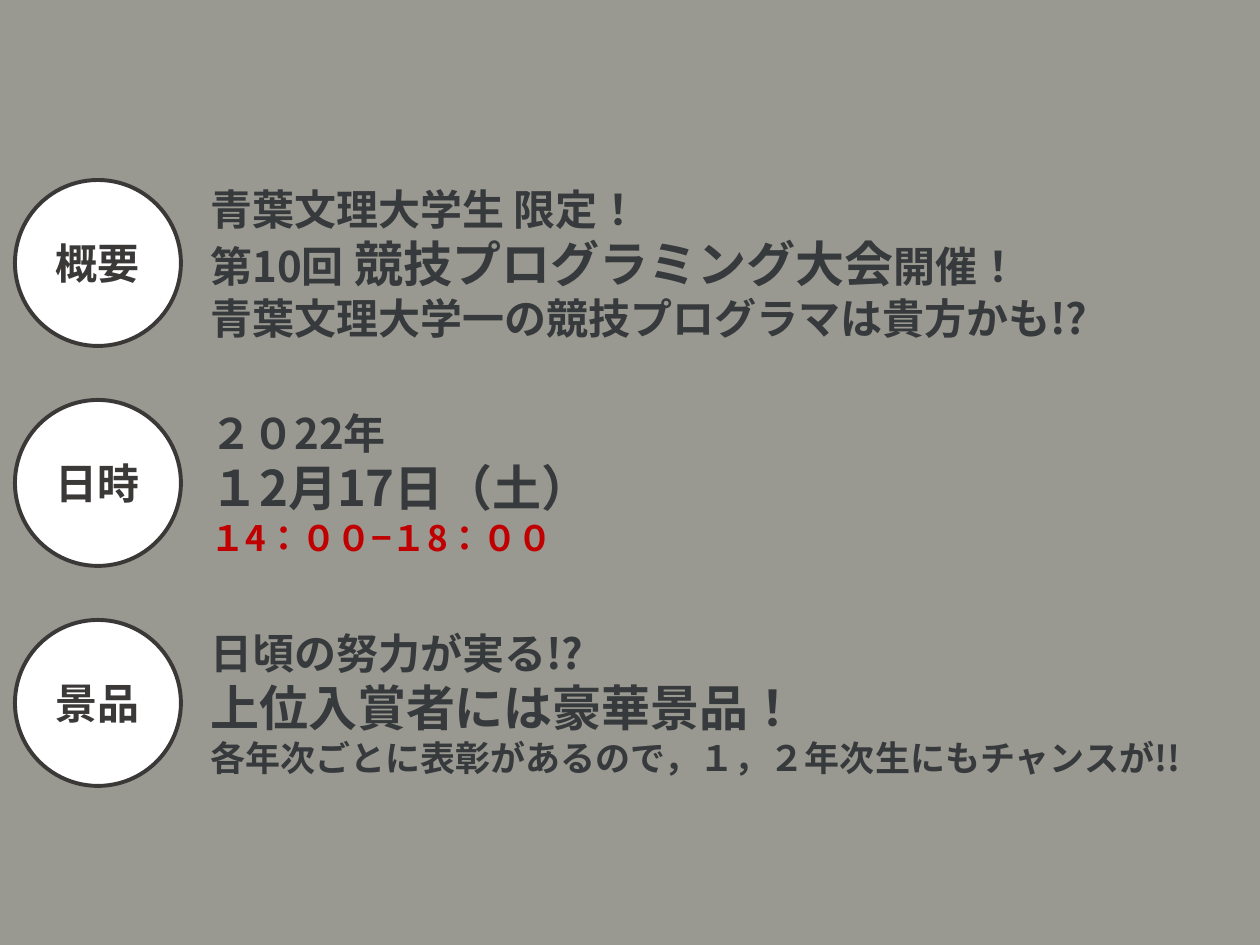
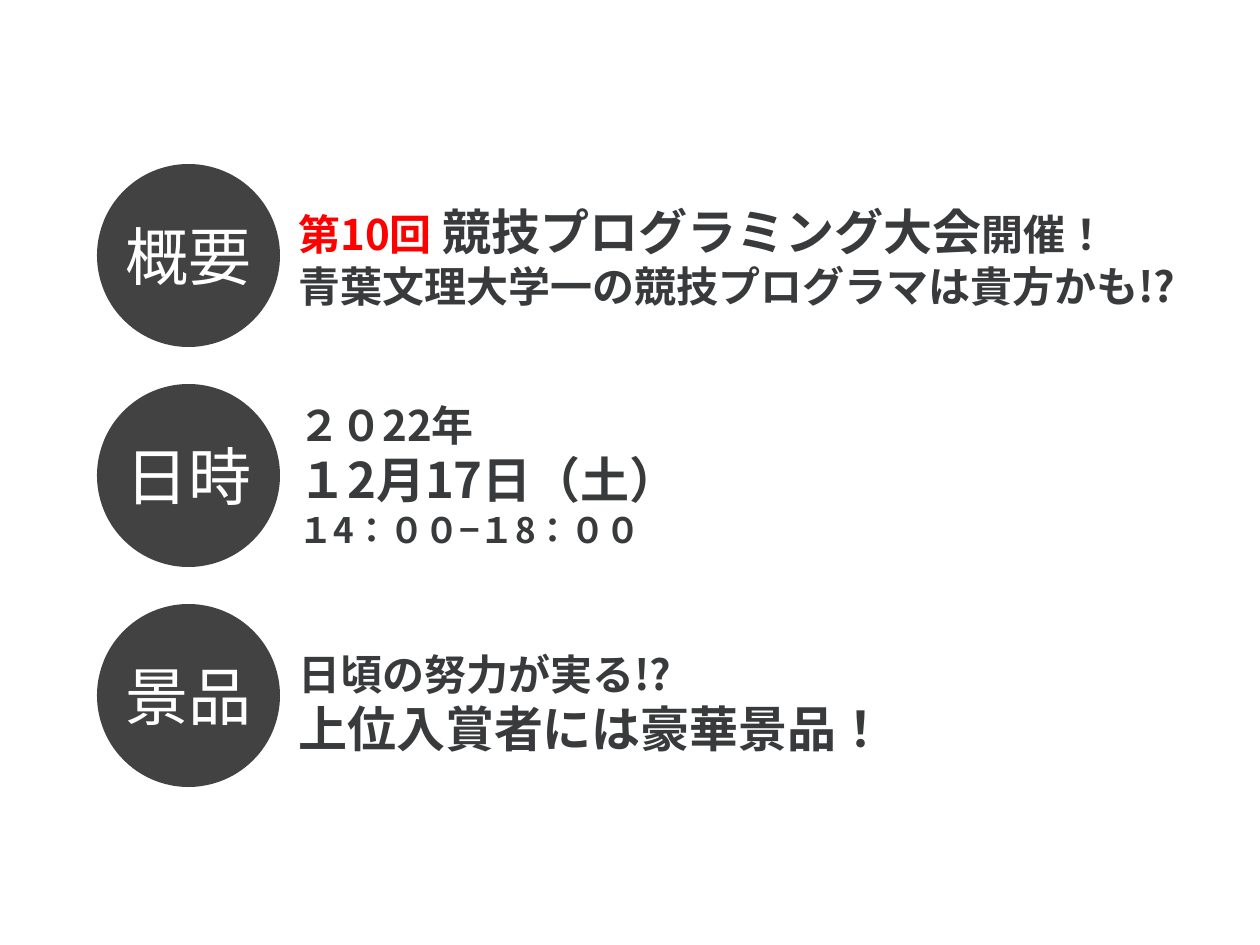
from dataclasses import dataclass

from lxml.etree import SubElement
from pptx import Presentation
from pptx.dml.color import RGBColor
from pptx.enum.lang import MSO_LANGUAGE_ID
from pptx.enum.shapes import MSO_SHAPE
from pptx.enum.text import MSO_ANCHOR, MSO_AUTO_SIZE, PP_ALIGN
from pptx.oxml.ns import qn
from pptx.util import Emu, Pt

PX = 914400 // 126
PITCH = 220
TEXT_HEIGHT = 166


@dataclass(frozen=True)
class Theme:
    """Colours, fonts and type sizes of the deck."""
    white: str = "FFFFFF"
    grey: str = "9A9991"
    ring: str = "3B3838"
    slate: str = "373A3C"
    glow: str = "E7E6E6"
    disc: str = "424242"
    ink: str = "383A3B"
    crimson: str = "C00000"
    red: str = "FF0000"
    font: str = "Noto Sans CJK JP"
    label_font: str = "Calibri"
    label: int = 36
    big: int = 28
    normal: int = 24
    small: int = 20


T = Theme()

SCHOOL = "青葉文理大学"
CONTEST = (" 競技プログラミング大会", {"size": T.big})
OPENING = ("開催！", {})
BOAST = [(f"{SCHOOL}一の競技プログラマは貴方かも!?", {})]
DATE = [[("２０22年", {})], [("１2月17日（土）", {"size": T.big})]]
HOURS = "１4：００−１8：００"
PRIZE = [[("日頃の努力が実る!?", {})],
         [("上位入賞者には豪華景品！", {"size": T.big})]]


def box(*lengths):
    """Turn px lengths into EMU."""
    return [Emu(n * PX) for n in lengths]


def rgb(code):
    """Make a colour from its hex code."""
    return RGBColor.from_string(code)


def add_slide(prs, background):
    """Add a blank slide with a plain background."""
    s = prs.slides.add_slide(prs.slide_layouts[6])
    s.background.fill.solid()
    s.background.fill.fore_color.rgb = rgb(background)
    return s


def add_run(p, text, color, size=T.normal, bold=True, font=T.font, outline=None):
    """Add a formatted run, with an optional thin outline on its letters."""
    r = p.add_run()
    r.text = text
    style = {"size": Pt(size), "bold": bold, "name": font,
             "language_id": MSO_LANGUAGE_ID.JAPANESE}
    for name, value in style.items():
        setattr(r.font, name, value)
    r.font.color.rgb = rgb(color)
    props = r.font._element
    SubElement(props, qn("a:ea"), typeface=T.font)
    if outline:
        ln = SubElement(props, qn("a:ln"), w=str(Pt(0.75)))
        fill = SubElement(ln, qn("a:solidFill"))
        SubElement(fill, qn("a:srgbClr"), val=outline)
        props.insert(0, ln)


def add_circle(s, left, top, size, fill, line=None):
    """Add a filled circle, with an outline if a line colour is given."""
    sp = s.shapes.add_shape(MSO_SHAPE.OVAL, *box(left, top, size, size))
    sp.shadow.inherit = False
    sp.fill.solid()
    sp.fill.fore_color.rgb = rgb(fill)
    if line:
        sp.line.color.rgb = rgb(line)
        sp.line.width = Pt(2.25)
    else:
        sp.line.fill.background()
    return sp


def add_lines(s, left, top, width, lines, **style):
    """Add a middle-anchored text box with one paragraph per line."""
    tf = s.shapes.add_textbox(*box(left, top, width, TEXT_HEIGHT)).text_frame
    for name, value in {"word_wrap": True, "vertical_anchor": MSO_ANCHOR.MIDDLE}.items():
        setattr(tf, name, value)
    for i, line in enumerate(lines):
        p = tf.add_paragraph() if i else tf.paragraphs[0]
        for text, changes in line:
            add_run(p, text, **{**style, **changes})


def add_ring_label(s, top, label):
    """Add an outlined circle that holds its label."""
    sp = add_circle(s, 15, top, TEXT_HEIGHT, T.white, T.ring)
    tf = sp.text_frame
    tf.vertical_anchor = MSO_ANCHOR.MIDDLE
    p = tf.paragraphs[0]
    p.alignment = PP_ALIGN.CENTER
    add_run(p, label, T.ring, font=T.label_font)


def add_disc_label(s, top, label):
    """Add a dark circle with a large label centred over it."""
    size, width, height = 183, 153, 89
    add_circle(s, 97, top, size, T.disc)
    sp = s.shapes.add_textbox(
        *box(97 + (size - width) // 2, top + (size - height) // 2, width, height))
    tf = sp.text_frame
    for name, value in {"word_wrap": False, "auto_size": MSO_AUTO_SIZE.SHAPE_TO_FIT_TEXT}.items():
        setattr(tf, name, value)
    p = tf.paragraphs[0]
    p.alignment = PP_ALIGN.CENTER
    add_run(p, label, T.white, T.label, bold=False)


def add_grey_notice(prs):
    """Build the grey notice with outlined circles."""
    s = add_slide(prs, T.grey)
    rows = [
        ("概要", 925, [[(f"{SCHOOL}生 限定！", {})],
                     [("第10回", {}), CONTEST, OPENING], BOAST]),
        ("日時", 925, [*DATE, [(HOURS, {"size": T.small, "color": T.crimson})]]),
        ("景品", 1033, [*PRIZE, [("各年次ごとに表彰があるので，１，２年次生にもチャンスが!!",
                               {"size": T.small})]]),
    ]
    for i, (label, width, lines) in enumerate(rows):
        top = 180 + i * PITCH
        add_ring_label(s, top, label)
        add_lines(s, 198, top, width, lines, color=T.slate, outline=T.glow)


def add_white_notice(prs):
    """Build the white notice with dark circles."""
    s = add_slide(prs, T.white)
    rows = [
        ("概要", 173, [[("第10回", {"color": T.red}), CONTEST, OPENING], BOAST]),
        ("日時", 392, [*DATE, [(HOURS, {"size": T.small})]]),
        ("景品", 620, PRIZE),
    ]
    for i, (label, text_top, lines) in enumerate(rows):
        add_disc_label(s, 164 + i * PITCH, label)
        add_lines(s, 286, text_top, 971, lines, color=T.ink)


def main():
    """Build and save the deck."""
    prs = Presentation()
    prs.slide_width, prs.slide_height = box(1260, 945)
    add_grey_notice(prs)
    add_white_notice(prs)
    prs.save("out.pptx")


if __name__ == "__main__":
    main()
